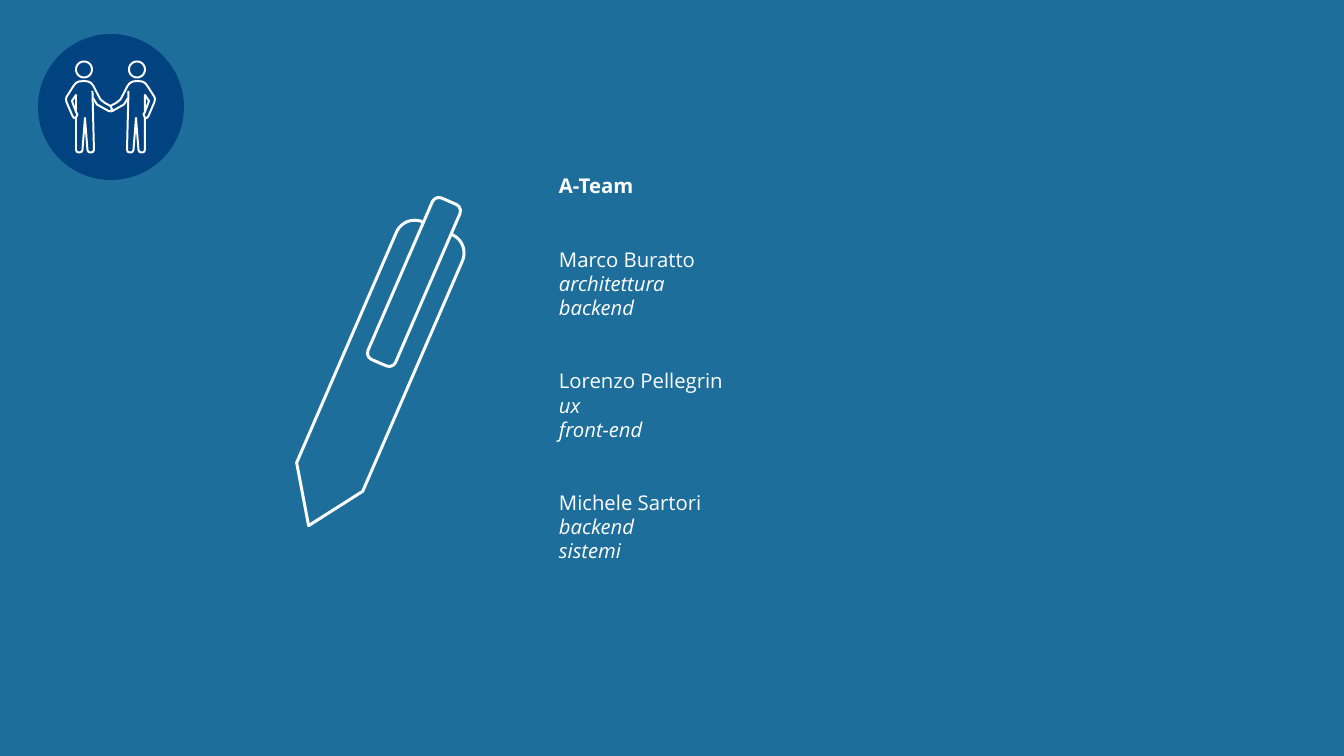
from math import cos, radians, sin

from pptx import Presentation
from pptx.dml.color import RGBColor
from pptx.enum.shapes import MSO_SHAPE
from pptx.enum.text import MSO_ANCHOR, MSO_AUTO_SIZE, PP_ALIGN
from pptx.util import Pt

PX = 914400 / 122
COLORS = {"background": "1D6E9B", "badge": "004380", "white": "FFFFFF"}
FONT = "Open Sans"
TEXT_SIZE = 12
LINE_PITCH = 14.35
PEN_TILT = 23.4
MIRROR_SUM = 221

TEAM = [
    ("Marco Buratto", ["architettura", "backend"]),
    ("Lorenzo Pellegrin", ["ux", "front-end"]),
    ("Michele Sartori", ["backend", "sistemi"]),
]

ARMS = [
    (110.5, 106), (105, 103), (100.5, 99.5), (97, 93), (93.5, 86),
    (91, 83), (88, 81.5), (84, 81), (79, 81.5), (76, 83), (73.5, 86),
    (66.5, 97), (66, 99), (66.5, 102), (72.5, 116), (74, 118),
    (76, 117.5), (77.5, 114.5), (76, 112), (72, 101), (76, 95), (76, 112),
]
LEGS = [
    (76, 118), (76, 150), (77, 152), (79, 152.5), (81.5, 152), (82.5, 150),
    (85, 118), (87.5, 150), (88.5, 152), (90.5, 152.5), (93, 152),
    (94, 150), (92.5, 91),
]
FOREARM = [(93, 98), (97, 104.5), (108.5, 111), (110.5, 111.5)]
HANDS = [(110.5, 106), (112, 109), (110.5, 111.5)]


def emu(px):
    """Convert px to whole EMU."""
    return round(px * PX)


def arc(center_x, center_y, radius, start, end, steps=12):
    """Return points along an arc, with angles in degrees."""
    angles = [radians(start + (end - start) * i / steps) for i in range(steps + 1)]
    return [(center_x + radius * cos(a), center_y + radius * sin(a)) for a in angles]


def write(paragraph, text, bold=False, italic=False, before=0):
    """Put formatted text into a paragraph."""
    paragraph.text = text
    paragraph.alignment = PP_ALIGN.LEFT
    paragraph.line_spacing = Pt(LINE_PITCH)
    paragraph.space_before = Pt(before)
    font = paragraph.font
    font.name, font.size, font.bold, font.italic = FONT, Pt(TEXT_SIZE), bold, italic
    font.color.rgb = RGBColor.from_string(COLORS["white"])


class Canvas:
    """Hold the slide and its style, and draw each kind of element."""

    def __init__(self, slide):
        """Keep the slide and paint its background."""
        self.slide = slide
        fill = slide.background.fill
        fill.solid()
        fill.fore_color.rgb = RGBColor.from_string(COLORS["background"])

    def prepare(self, frame):
        """Remove insets and fitting from a text frame."""
        frame.margin_left = frame.margin_right = 0
        frame.margin_top = frame.margin_bottom = 0
        frame.vertical_anchor = MSO_ANCHOR.TOP
        frame.auto_size = MSO_AUTO_SIZE.NONE
        frame.word_wrap = True
        return frame

    def title(self, text, x, y, width, height):
        """Place and format the title."""
        heading = self.slide.shapes.title
        heading.left, heading.top = emu(x), emu(y)
        heading.width, heading.height = emu(width), emu(height)
        write(self.prepare(heading.text_frame).paragraphs[0], text, bold=True)

    def members(self, team, x, y, width, height):
        """List each member with the roles below the name."""
        box = self.slide.shapes.add_textbox(emu(x), emu(y), emu(width), emu(height))
        frame = self.prepare(box.text_frame)
        for index, (member, roles) in enumerate(team):
            name = frame.add_paragraph() if index else frame.paragraphs[0]
            write(name, member, before=2 * LINE_PITCH if index else 0)
            for role in roles:
                write(frame.add_paragraph(), role, italic=True)

    def outline(self, shape, weight):
        """Give a shape a white line and no fill."""
        shape.shadow.inherit = False
        shape.fill.background()
        shape.line.color.rgb = RGBColor.from_string(COLORS["white"])
        shape.line.width = Pt(weight)
        return shape

    def line_art(self, strokes, weight):
        """Draw one outline made of several open strokes."""
        scaled = [[(emu(x), emu(y)) for x, y in stroke] for stroke in strokes]
        builder = self.slide.shapes.build_freeform(*scaled[0][0])
        for index, (start, *rest) in enumerate(scaled):
            if index:
                builder.move_to(*start)
            builder.add_line_segments(rest, close=False)
        return self.outline(builder.convert_to_shape(), weight)

    def preset(self, kind, x, y, width, height):
        """Add a preset shape."""
        return self.slide.shapes.add_shape(kind, emu(x), emu(y), emu(width), emu(height))

    def pen(self):
        """Draw the tilted pen and its clip."""
        barrel = self.line_art([
            [(389, 215), *arc(389, 235, 20, -90, 0), (409, 486), (373, 539),
             (337, 486), *arc(357, 235, 20, 180, 270), (357, 215)]], 1.75)
        clip = self.outline(
            self.preset(MSO_SHAPE.ROUNDED_RECTANGLE, 399, 194, 30, 176), 1.75)
        clip.adjustments[0] = 0.23
        barrel.rotation = clip.rotation = PEN_TILT

    def handshake(self):
        """Draw two mirrored people shaking hands on a round badge."""
        badge = self.preset(MSO_SHAPE.OVAL, 38, 34, 146, 146)
        badge.shadow.inherit = False
        badge.fill.solid()
        badge.fill.fore_color.rgb = RGBColor.from_string(COLORS["badge"])
        badge.line.fill.background()
        person = [arc(84, 69.5, 8, 0, 360, steps=36), ARMS, LEGS, FOREARM]
        partner = [[(MIRROR_SUM - x, y) for x, y in stroke] for stroke in person]
        self.line_art([*person, *partner, HANDS], 1.15)


def main():
    """Build and save the team slide."""
    deck = Presentation()
    deck.slide_width, deck.slide_height = emu(1344), emu(756)
    canvas = Canvas(deck.slides.add_slide(deck.slide_layouts[5]))
    canvas.title("A-Team", 559, 173, 227, 25)
    canvas.members(TEAM, 559, 247, 227, 318)
    canvas.pen()
    canvas.handshake()
    deck.save("out.pptx")


if __name__ == "__main__":
    main()
